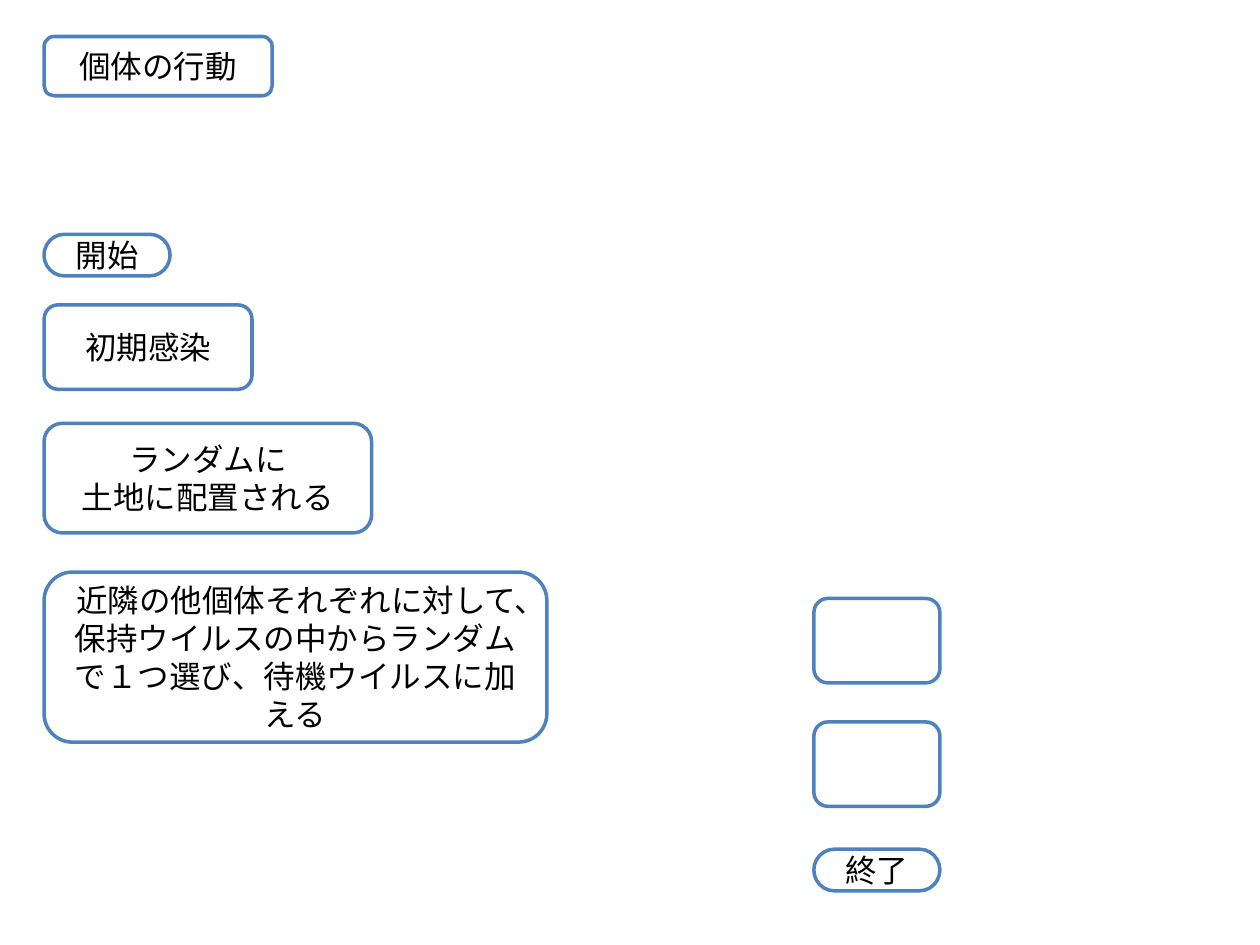
from dataclasses import dataclass

from pptx import Presentation
from pptx.dml.color import RGBColor
from pptx.enum.shapes import MSO_SHAPE
from pptx.enum.text import MSO_ANCHOR, PP_ALIGN
from pptx.util import Inches, Pt

PROCESS = MSO_SHAPE.FLOWCHART_ALTERNATE_PROCESS
TERMINATOR = MSO_SHAPE.FLOWCHART_TERMINATOR
CENTER = PP_ALIGN.CENTER
MIDDLE = MSO_ANCHOR.MIDDLE

WHITE = RGBColor(0xFF, 0xFF, 0xFF)
BLACK = RGBColor(0x00, 0x00, 0x00)
BLUE = RGBColor(0x4F, 0x81, 0xBD)

LEFT_COLUMN = 0.35
RIGHT_COLUMN = 6.46


@dataclass
class Step:
    left: float
    top: float
    width: float
    height: float
    lines: tuple[str, ...] = ()
    kind: MSO_SHAPE = PROCESS


STEPS = [
    # Title and opening steps
    Step(LEFT_COLUMN, 0.29, 1.81, 0.47, ("個体の行動",)),
    Step(LEFT_COLUMN, 1.86, 1, 0.33, ("開始",), TERMINATOR),
    Step(LEFT_COLUMN, 2.42, 1.65, 0.67, ("初期感染",)),
    Step(LEFT_COLUMN, 3.36, 2.6, 0.87, ("ランダムに", "土地に配置される")),
    Step(LEFT_COLUMN, 4.54, 3.99, 1.35,
         ("近隣の他個体それぞれに対して、保持ウイルスの中から"
          "ランダムで１つ選び、待機ウイルスに加える",)),
    # Open steps and the end
    Step(RIGHT_COLUMN, 4.75, 1, 0.67),
    Step(RIGHT_COLUMN, 5.73, 1, 0.67),
    Step(RIGHT_COLUMN, 6.74, 1, 0.33, ("終了",), TERMINATOR),
]


def write_lines(frame, lines: tuple[str, ...], *, font: str = "Calibri",
                size: float = 18, color: RGBColor = BLACK) -> None:
    frame.word_wrap = True
    frame.vertical_anchor = MIDDLE
    for index, line in enumerate(lines):
        para = frame.add_paragraph() if index else frame.paragraphs[0]
        para.alignment = CENTER
        span = para.add_run()
        span.text = line
        span.font.name = font
        span.font.size = Pt(size)
        span.font.color.rgb = color


def draw_step(page, step: Step) -> None:
    box = page.shapes.add_shape(step.kind, Inches(step.left), Inches(step.top),
                                Inches(step.width), Inches(step.height))
    box.shadow.inherit = False
    box.fill.solid()
    box.fill.fore_color.rgb = WHITE
    box.line.color.rgb = BLUE
    box.line.width = Pt(2)
    write_lines(box.text_frame, step.lines)


# Deck with one blank page
deck = Presentation()
deck.slide_width = Inches(10)
deck.slide_height = Inches(7.5)
page = deck.slides.add_slide(deck.slide_layouts[6])

# Flowchart steps
for step in STEPS:
    draw_step(page, step)

deck.save("out.pptx")
